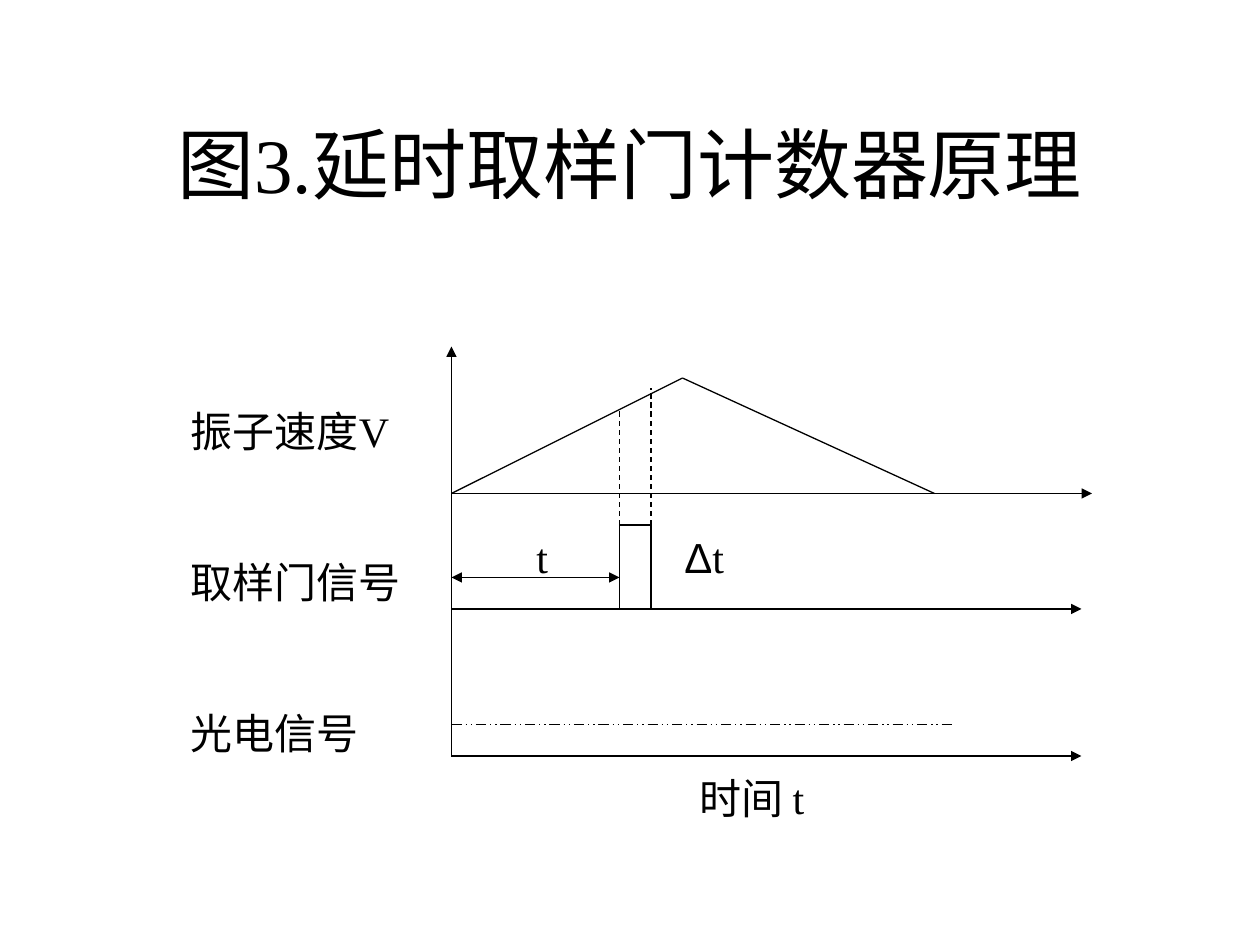
from pptx import Presentation
from pptx import util as u
from pptx.dml.color import RGBColor
from pptx.enum import dml, shapes, text
from pptx.oxml.ns import qn
from lxml import etree

BLACK = RGBColor(0, 0, 0)
WHITE = RGBColor(255, 255, 255)
SERIF, SANS = "Times New Roman", "Arial"
UNIT = u.Inches(1) / 12  # the slide is a grid of 120 columns by 90 rows

# Grid positions of the timing diagram
AXIS_X, AXIS_TOP, AXIS_END = 43, 33, 103
SPEED_Y, GATE_Y, PHOTO_Y = 47, 58, 72
GATE_LEFT, GATE_RIGHT, GATE_TOP = 59, 62, 50
PEAK = (65, 36)
DELAY_Y, SIGNAL_Y = 55, 69


def grid(*cells):
    return [u.Emu(round(cell * UNIT)) for cell in cells]


def add_span(para, wording, size=24, font=SERIF):
    span = para.add_run()
    span.text = wording
    for name, value in {"name": font, "size": u.Pt(size)}.items():
        setattr(span.font, name, value)
    span.font.color.rgb = BLACK


def add_title(page, wording):
    title = page.shapes.title
    title.left, title.top, title.width, title.height = grid(9, 8, 102, 15)
    frame = title.text_frame
    frame.auto_size = text.MSO_AUTO_SIZE.NONE
    frame.vertical_anchor = text.MSO_ANCHOR.MIDDLE
    para = frame.paragraphs[0]
    para.alignment = text.PP_ALIGN.CENTER
    add_span(para, wording, 44)


def add_label(page, place, lines, indent=0, gap=15):
    """Each line is a list of (wording, font) spans."""
    frame = page.shapes.add_textbox(*grid(*place)).text_frame
    frame.word_wrap = True
    for number, spans in enumerate(lines):
        para = frame.add_paragraph() if number else frame.paragraphs[0]
        para.space_before = u.Pt(gap if number else 15)
        if indent:
            para._p.get_or_add_pPr().set("marL", str(u.Inches(indent)))
        for wording, font in spans:
            add_span(para, wording, font=font)


def add_line(page, start, end, dash=None, arrows=()):
    line = page.shapes.add_connector(
        shapes.MSO_CONNECTOR.STRAIGHT, *grid(*start, *end))
    line.line.color.rgb = BLACK
    line.line.width = u.Pt(0.75)
    if dash:
        line.line.dash_style = dash
    outline = line.line._get_or_add_ln()
    for arrow in arrows:
        etree.SubElement(outline, qn(f"a:{arrow}"), type="triangle")
    etree.SubElement(line._element.spPr, qn("a:effectLst"))


def add_gate(page):
    gate = page.shapes.add_shape(
        shapes.MSO_SHAPE.RECTANGLE,
        *grid(GATE_LEFT, GATE_TOP, GATE_RIGHT - GATE_LEFT, GATE_Y - GATE_TOP))
    gate.shadow.inherit = False
    gate.fill.solid()
    gate.fill.fore_color.rgb = WHITE
    gate.line.color.rgb = BLACK
    gate.line.width = u.Pt(0.75)


def main():
    deck = Presentation()
    deck.slide_width, deck.slide_height = u.Inches(10), u.Inches(7.5)
    page = deck.slides.add_slide(deck.slide_layouts[5])
    add_title(page, "图3.延时取样门计数器原理")

    # Row names
    names = ["振子速度V", "取样门信号", "光电信号"]
    add_label(page, (17, 38, 24, 35.25), [[(name, SERIF)] for name in names],
              gap=57.6)

    # Axes
    add_line(page, (AXIS_X, PHOTO_Y), (AXIS_X, AXIS_TOP), arrows=["tailEnd"])
    for row, end in [(SPEED_Y, AXIS_END + 1), (GATE_Y, AXIS_END),
                     (PHOTO_Y, AXIS_END)]:
        add_line(page, (AXIS_X, row), (end, row), arrows=["tailEnd"])
    add_label(page, (54, 73, 34, 6), [[("时间 t", SERIF)]], indent=0.95)

    # Speed triangle
    add_line(page, (AXIS_X, SPEED_Y), PEAK)
    add_line(page, PEAK, (89, SPEED_Y))

    # Sampling gate, its delay and its width
    add_gate(page)
    add_line(page, (AXIS_X, DELAY_Y), (GATE_LEFT, DELAY_Y),
             arrows=["headEnd", "tailEnd"])
    add_label(page, (45, GATE_TOP, 12, 6), [[("t", SERIF)]], indent=0.41)
    add_label(page, (64, GATE_TOP, 11, 6), [[("Δ", SANS), ("t", SERIF)]])
    for column, top in [(GATE_LEFT, 39), (GATE_RIGHT, 37)]:
        add_line(page, (column, GATE_TOP), (column, top),
                 dml.MSO_LINE.DASH)

    # Photoelectric signal
    add_line(page, (AXIS_X, SIGNAL_Y), (91, SIGNAL_Y),
             dml.MSO_LINE.DASH_DOT_DOT)

    deck.save("out.pptx")


if __name__ == "__main__":
    main()
